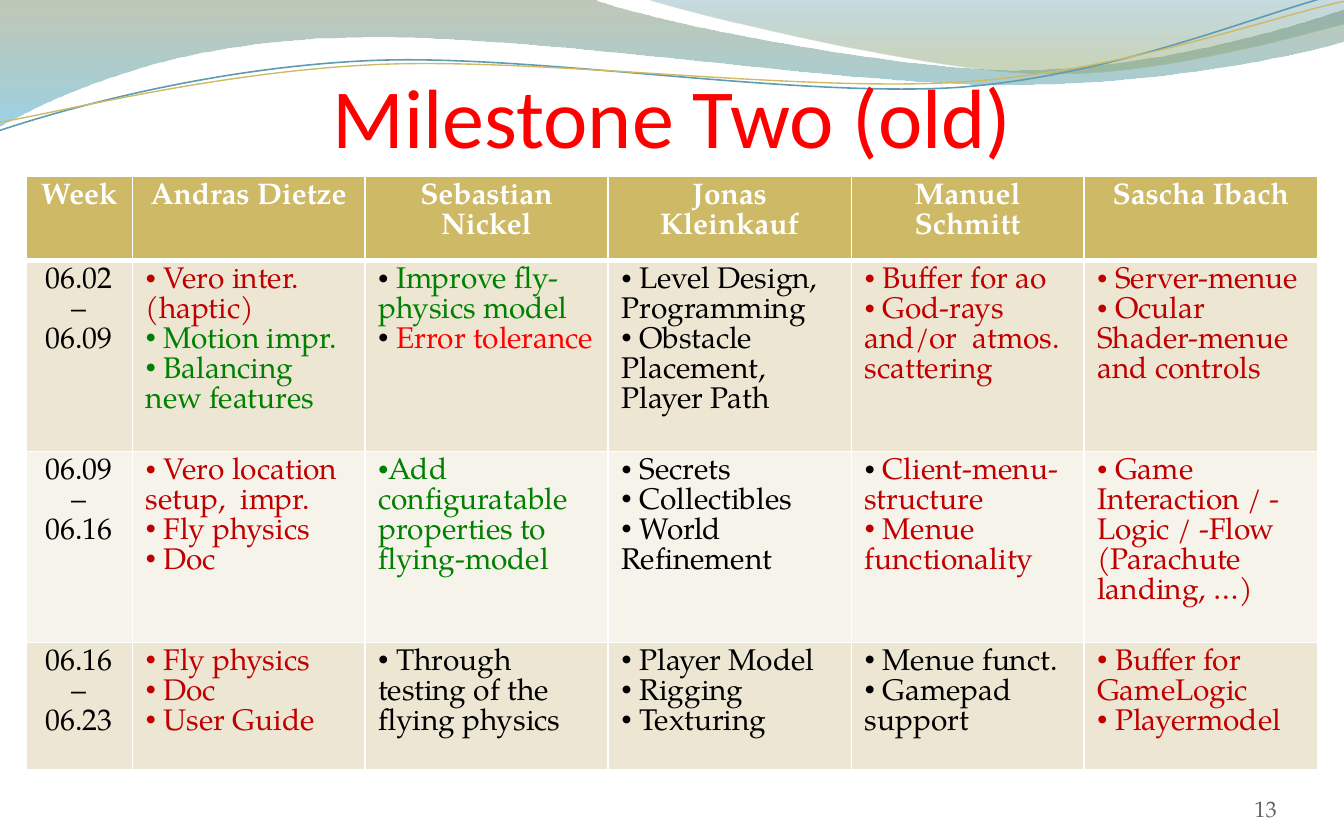
from lxml import etree
from pptx import Presentation, util as u
from pptx.dml.color import RGBColor
from pptx.enum import text
from pptx.oxml.ns import qn

RED = RGBColor(0xFF, 0, 0)
CRIMSON = RGBColor(0xC0, 0, 0)
GREEN = RGBColor(0, 0x80, 0)
BLACK = RGBColor(0, 0, 0)
WHITE = RGBColor(0xFF, 0xFF, 0xFF)
GREY = RGBColor(0x64, 0x62, 0x68)
GOLD = RGBColor(0xCE, 0xB9, 0x66)
SAND = RGBColor(0xED, 0xE6, 0xD3)
CREAM = RGBColor(0xF6, 0xF3, 0xEA)
BLUE = RGBColor(0x5E, 0x9C, 0xB1)
OLIVE = RGBColor(0x74, 0x85, 0x5E)
SKY = RGBColor(0x4A, 0xAC, 0xCE)
TEAL = RGBColor(0x45, 0x88, 0x9F)
MOSS = RGBColor(0x8A, 0xA3, 0x6D)
BODY_FONT = "TeX Gyre Pagella"

WIDTH, HEIGHT = 10, 6.25
COLS = [0.79, 1.73, 1.81, 1.81, 1.73, 1.74]
ROWS = [0.63, 1.42, 1.42, 0.95]

HEADER = ["Week", "Andras Dietze", "Sebastian Nickel", "Jonas Kleinkauf",
          "Manuel Schmitt", "Sascha Ibach"]
WEEKS = [
    ("06.02 – 06.09", [
        [[(" Vero inter. (haptic)", CRIMSON)], [(" Motion impr.", GREEN)],
         [(" Balancing new features", GREEN)]],
        [[(" ", BLACK), ("Improve fly-physics model", GREEN)],
         [(" ", BLACK), ("Error tolerance", RED)]],
        [[(" Level Design, Programming", BLACK)],
         [(" Obstacle Placement, Player Path", BLACK)]],
        [[(" Buffer for ao", CRIMSON)],
         [(" God-rays and/or  atmos. scattering", CRIMSON)]],
        [[(" Server-menue", CRIMSON)],
         [(" Ocular Shader-menue and controls", CRIMSON)]],
    ]),
    ("06.09 – 06.16", [
        [[(" Vero location setup,  impr.", CRIMSON)],
         [(" Fly physics", CRIMSON)], [(" Doc", CRIMSON)]],
        [[("Add configuratable properties to flying-model", GREEN)]],
        [[(" Secrets", BLACK)], [(" Collectibles", BLACK)],
         [(" World Refinement", BLACK)]],
        [[(" ", BLACK), ("Client-menu-structure", CRIMSON)],
         [(" Menue functionality", CRIMSON)]],
        [[(" Game Interaction / - Logic / -Flow (Parachute landing, …)", CRIMSON)]],
    ]),
    ("06.16 – 06.23", [
        [[(" Fly physics", CRIMSON)], [(" Doc", CRIMSON)],
         [(" User Guide", CRIMSON)]],
        [[(" Through testing of the flying physics", BLACK)]],
        [[(" Player Model", BLACK)], [(" Rigging", BLACK)],
         [(" Texturing", BLACK)]],
        [[(" Menue funct.", BLACK)], [(" Gamepad support", BLACK)]],
        [[(" Buffer for GameLogic", CRIMSON)], [(" Playermodel", CRIMSON)]],
    ]),
]

BANDS = [
    ([(0, 0), (4.4, -0.01), (4.76, 0.14, 6.64, 0.52, 7.58, 0.52),
      (8.53, 0.52, 9.58, 0.21, 10, 0.07), (10.01, 0.3),
      (9.83, 0.37, 8.7, 0.63, 7.46, 0.63), (6.22, 0.63, 3.82, 0.23, 2.57, 0.28),
      (1.29, 0.3, 0.46, 0.69, -0.01, 0.94)],
     [(0, OLIVE, 45), (1, SKY, 55)]),
    ([(4.79, -0.01), (5.09, 0.09, 6.82, 0.51, 7.69, 0.54),
      (8.56, 0.58, 9.61, 0.27, 10, 0.18), (10, 0)],
     [(0, TEAL, 30), (0.8, MOSS, 45)]),
]
WAVES = [
    ([(0, 0.97), (0.48, 0.81, 1.58, 0.5, 2.77, 0.45),
      (3.95, 0.4, 5.92, 0.73, 7.13, 0.65), (8.33, 0.56, 9.39, 0.09, 9.98, -0.05)],
     BLUE, 0.85),
    ([(0, 0.91), (0.47, 0.83, 1.64, 0.53, 2.83, 0.48),
      (4.03, 0.43, 5.97, 0.69, 7.17, 0.61), (8.36, 0.53, 9.41, 0.14, 10, 0.01)],
     GOLD, 0.75),
]


def add_curve(s, steps, close):
    ends = [(u.Inches(step[-2]), u.Inches(step[-1])) for step in steps]
    builder = s.shapes.build_freeform(*ends[0])
    builder.add_line_segments(ends[1:], close=close)
    sp = builder.convert_to_shape()
    sp.shadow.inherit = False
    segments = list(sp._element.iter(qn("a:lnTo")))
    for segment, step in zip(segments, steps[1:]):
        if len(step) == 6:
            curve = etree.Element(qn("a:cubicBezTo"))
            for x, y in (step[:2], step[2:4]):
                etree.SubElement(curve, qn("a:pt"), x=str(u.Inches(x) - sp.left),
                                 y=str(u.Inches(y) - sp.top))
            curve.append(segment[0])
            segment.getparent().replace(segment, curve)
    return sp


def add_run(p, content, size, color, font=BODY_FONT, bold=False):
    r = p.add_run()
    r.text = content
    r.font.size, r.font.name, r.font.bold = u.Pt(size), font, bold
    r.font.color.rgb = color


def add_label(s, box, content, size, color, font, align, top_inset=0):
    sp = s.shapes.add_textbox(*map(u.Inches, box))
    tf = sp.text_frame
    tf.word_wrap = True
    tf.vertical_anchor = text.MSO_ANCHOR.BOTTOM
    tf.margin_left = tf.margin_right = tf.margin_bottom = 0
    tf.margin_top = u.Inches(top_inset)
    p = tf.paragraphs[0]
    p.alignment = align
    add_run(p, content, size, color, font)


def set_borders(cell, widths):
    tcPr = cell._tc.get_or_add_tcPr()
    for side, width in zip("LRTB", widths):
        ln = etree.SubElement(tcPr, qn(f"a:ln{side}"), w=str(u.Pt(width)))
        fill = etree.SubElement(ln, qn("a:solidFill"))
        etree.SubElement(fill, qn("a:srgbClr"), val=str(WHITE))


def fill_cell(cell, paragraphs, color, bulleted, bold=False):
    cell.fill.solid()
    cell.fill.fore_color.rgb = color
    tf = cell.text_frame
    for i, runs in enumerate(paragraphs):
        p = tf.add_paragraph() if i else tf.paragraphs[0]
        p.alignment = text.PP_ALIGN.LEFT if bulleted else text.PP_ALIGN.CENTER
        p.line_spacing = u.Pt(16)
        if bulleted:
            pPr = p._p.get_or_add_pPr()
            pPr.set("marL", "0")
            pPr.set("indent", "0")
            etree.SubElement(pPr, qn("a:buChar"), char="•")
        for content, run_color in runs:
            add_run(p, content, 16, run_color, bold=bold)


def main():
    prs = Presentation()
    prs.slide_width, prs.slide_height = u.Inches(WIDTH), u.Inches(HEIGHT)
    s = prs.slides.add_slide(prs.slide_layouts[6])

    for steps, stops in BANDS:
        sp = add_curve(s, steps, True)
        sp.line.fill.background()
        sp.fill.gradient()
        sp.fill.gradient_angle = 270
        for stop, (position, color, _) in zip(sp.fill.gradient_stops, stops):
            stop.position, stop.color.rgb = position, color
        for clr, (_, _, opacity) in zip(sp._element.spPr.iter(qn("a:srgbClr")), stops):
            etree.SubElement(clr, qn("a:alpha"), val=str(opacity * 1000))
    for steps, color, width in WAVES:
        sp = add_curve(s, steps, False)
        sp.fill.background()
        sp.line.color.rgb, sp.line.width = color, u.Pt(width)

    add_label(s, (0.5, 0.64, 9, 0.59), "Milestone Two (old)", 45, RED, "Calibri",
              text.PP_ALIGN.CENTER, 0.05)
    add_label(s, (8.67, 5.79, 0.83, 0.33), "13", 12, GREY, BODY_FONT,
              text.PP_ALIGN.RIGHT)

    left = (WIDTH - sum(COLS)) / 2
    table = s.shapes.add_table(len(ROWS), len(COLS), *map(
        u.Inches, (left, 1.31, sum(COLS), sum(ROWS)))).table
    for column, width in zip(table.columns, COLS):
        column.width = u.Inches(width)
    for row, height in zip(table.rows, ROWS):
        row.height = u.Inches(height)
    for i, row in enumerate(table.rows):
        for cell in row.cells:
            set_borders(cell, (1, 1, 3 if i == 1 else 1, 3 if i == 0 else 1))
    for j, name in enumerate(HEADER):
        fill_cell(table.cell(0, j), [[(name, WHITE)]], GOLD, False, True)
    for i, (week, tasks) in enumerate(WEEKS, 1):
        band = SAND if i % 2 else CREAM
        fill_cell(table.cell(i, 0), [[(week, BLACK)]], band, False)
        for j, paragraphs in enumerate(tasks, 1):
            fill_cell(table.cell(i, j), paragraphs, band, True)

    prs.save("out.pptx")


if __name__ == "__main__":
    main()
